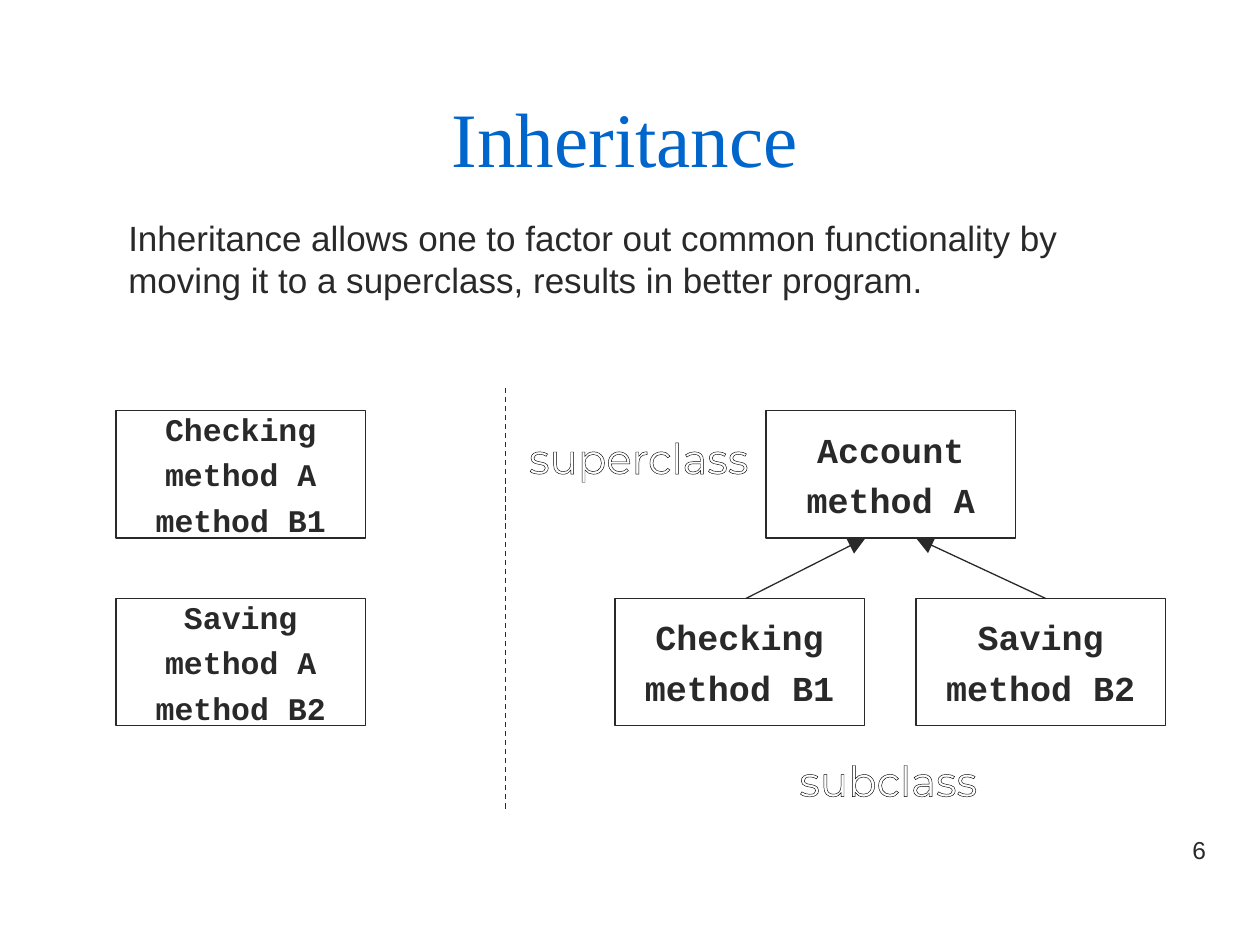
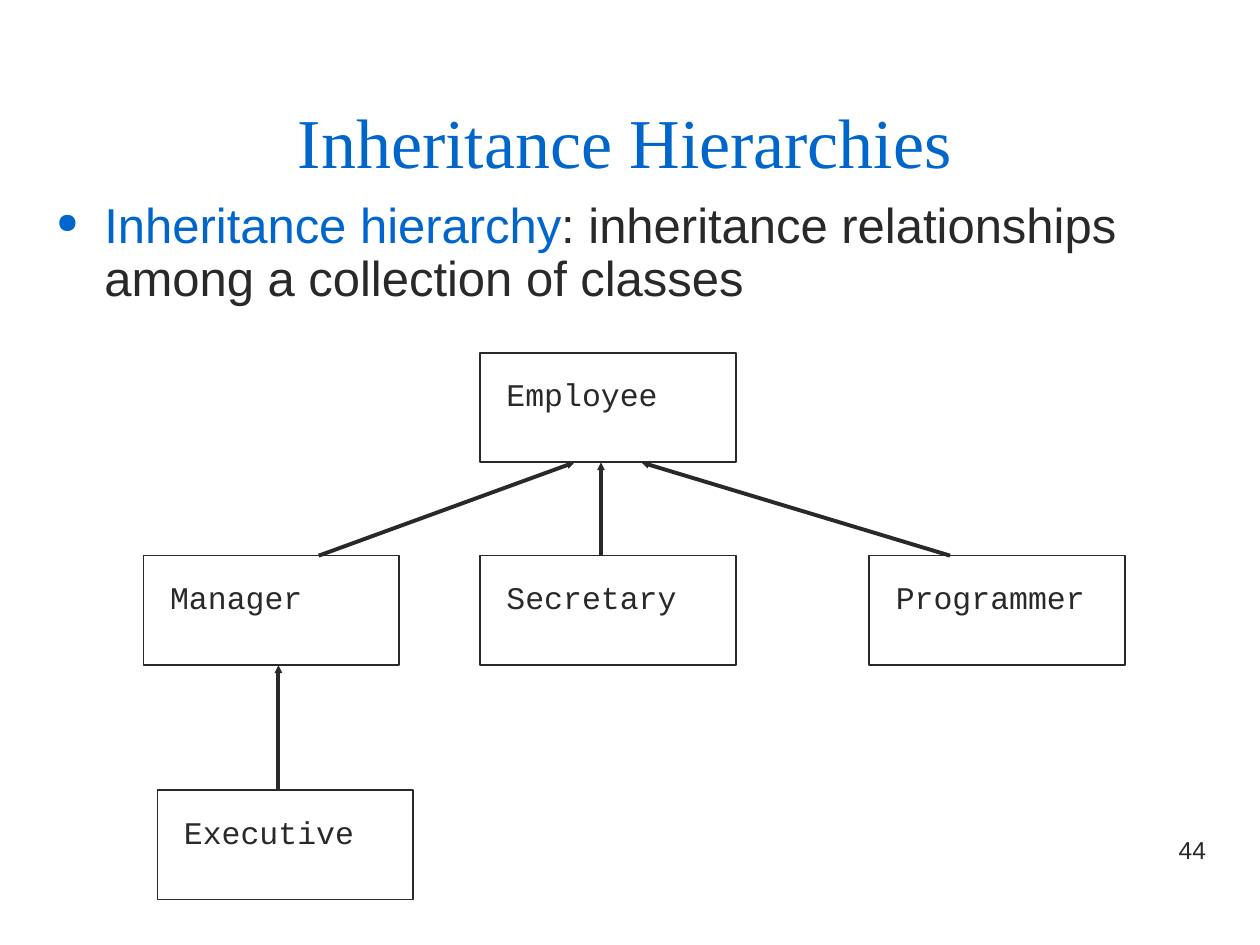
"""Builds two slides on inheritance: factoring out methods and class hierarchies."""
from dataclasses import dataclass

from lxml import etree
from pptx import Presentation
from pptx import util as u
from pptx.dml import color
from pptx.enum import dml, shapes, text
from pptx.oxml import ns


@dataclass(frozen=True)
class Theme:
    """Colours, fonts and type sizes shared by the slides."""
    accent: color.RGBColor = color.RGBColor(0x00, 0x66, 0xCC)
    ink: color.RGBColor = color.RGBColor(0x29, 0x29, 0x29)
    paper: color.RGBColor = color.RGBColor(0xFF, 0xFF, 0xFF)
    outline: color.RGBColor = color.RGBColor(0x00, 0x00, 0x00)
    title_font: str = "Times New Roman"
    body_font: str = "Arial"
    code_font: str = "Courier New"
    caption_font: str = "Montserrat"
    title: int = 44
    long_title: int = 40
    bullet: int = 28
    caption: int = 24
    body: int = 20
    code: int = 18
    number: int = 14


THEME = Theme()
CENTER, LEFT, RIGHT = text.PP_ALIGN.CENTER, text.PP_ALIGN.LEFT, text.PP_ALIGN.RIGHT
CLASS_WIDTH, CLASS_HEIGHT = 1.98, 1.01
NODE_WIDTH, NODE_HEIGHT = 2.03, 0.87


def place(left, top, width, height):
    """Convert a position and size in inches to lengths."""
    return [u.Inches(value) for value in (left, top, width, height)]


def style(paragraph, font, size, tint=THEME.ink, align=LEFT, bold=False):
    """Format all runs of a paragraph and align it."""
    paragraph.alignment = align
    for run in paragraph.runs:
        run.font.name = font
        run.font.size = u.Pt(size)
        run.font.bold = bold
        run.font.color.rgb = tint


def add_titled_slide(deck, heading, size, number):
    """Add a title-only slide with its heading and page number."""
    slide = deck.slides.add_slide(deck.slide_layouts[5])
    title = slide.shapes.title
    title.left, title.top, title.width, title.height = place(0.67, 0.25, 8.58, 1.25)
    frame = title.text_frame
    frame.text = heading
    frame.auto_size = text.MSO_AUTO_SIZE.NONE
    frame.vertical_anchor = text.MSO_ANCHOR.BOTTOM
    style(frame.paragraphs[0], THEME.title_font, size, THEME.accent, CENTER)
    add_text(slide, (7.17, 6.58, 2.5, 0.52), str(number),
             THEME.body_font, THEME.number, align=RIGHT)
    return slide


def add_text(slide, area, words, font, size, tint=THEME.ink, align=LEFT):
    """Add a one-paragraph text box and return its frame."""
    frame = slide.shapes.add_textbox(*place(*area)).text_frame
    frame.word_wrap = True
    frame.text = words
    style(frame.paragraphs[0], font, size, tint, align)
    return frame


def add_caption(slide, area, words):
    """Add white display lettering with a thin black outline."""
    caption = add_text(slide, area, words, THEME.caption_font, THEME.caption,
                       THEME.paper, CENTER)
    caption.word_wrap = False
    caption.margin_left = caption.margin_right = 0
    outline = etree.Element(ns.qn("a:ln"), w=str(u.Pt(0.75)))
    fill = etree.SubElement(outline, ns.qn("a:solidFill"))
    etree.SubElement(fill, ns.qn("a:srgbClr"), val=str(THEME.outline))
    caption.paragraphs[0].runs[0].font._element.insert(0, outline)


def add_bullet(slide, area, term, meaning):
    """Add a bulleted definition with its term in the accent colour."""
    definition = add_text(slide, area, term, THEME.body_font, THEME.bullet)
    paragraph = definition.paragraphs[0]
    properties = paragraph._p.get_or_add_pPr()
    properties.set("marL", str(u.Inches(0.38)))
    properties.set("indent", str(-u.Inches(0.38)))
    tint = etree.SubElement(properties, ns.qn("a:buClr"))
    etree.SubElement(tint, ns.qn("a:srgbClr"), val=str(THEME.accent))
    etree.SubElement(properties, ns.qn("a:buSzPct"), val="57000")
    etree.SubElement(properties, ns.qn("a:buChar"), char="●")
    paragraph.line_spacing = 0.9
    paragraph.add_run().text = meaning
    style(paragraph, THEME.body_font, THEME.bullet)
    paragraph.runs[0].font.color.rgb = THEME.accent


def add_frame(slide, area, weight):
    """Add an unfilled outlined rectangle."""
    frame = slide.shapes.add_shape(shapes.MSO_SHAPE.RECTANGLE, *place(*area))
    frame.shadow.inherit = False
    frame.fill.background()
    frame.line.color.rgb = THEME.ink
    frame.line.width = u.Pt(weight)
    return frame


def add_class(slide, left, top, members, size):
    """Add a class box listing its name and methods."""
    area = (left, top, CLASS_WIDTH, CLASS_HEIGHT)
    listing = add_frame(slide, area, 0.75).text_frame
    listing.word_wrap = False
    listing.vertical_anchor = text.MSO_ANCHOR.MIDDLE
    listing.text = "\n".join(members)
    for row, paragraph in enumerate(listing.paragraphs):
        style(paragraph, THEME.code_font, size, align=CENTER, bold=True)
        if row:
            paragraph.space_before = u.Pt(size / 4)


def add_node(slide, left, top, name):
    """Add a hierarchy box with its class name at the upper left."""
    label = add_frame(slide, (left, top, NODE_WIDTH, NODE_HEIGHT), 1).text_frame
    label.word_wrap = True
    label.vertical_anchor = text.MSO_ANCHOR.TOP
    label.margin_left, label.margin_top = u.Inches(0.21), u.Inches(0.18)
    label.text = name
    style(label.paragraphs[0], THEME.code_font, THEME.code)


def add_line(slide, start, end, weight, head=None):
    """Add a straight line, with a triangle of the given size at its end."""
    ends = [u.Inches(value) for value in (*start, *end)]
    line = slide.shapes.add_connector(shapes.MSO_CONNECTOR.STRAIGHT, *ends)
    line.line.color.rgb = THEME.ink
    line.line.width = u.Pt(weight)
    if head:
        etree.SubElement(line.line._get_or_add_ln(), ns.qn("a:tailEnd"),
                         type="triangle", w=head, len=head)
    etree.SubElement(line._element.spPr, ns.qn("a:effectLst"))
    return line


def build_inheritance(deck):
    """Compare duplicated methods with a shared superclass."""
    slide = add_titled_slide(deck, "Inheritance", THEME.title, 6)
    add_text(slide, (0.92, 1.67, 8, 0.77),
             "Inheritance allows one to factor out common functionality by "
             "moving it to a superclass, results in better program.",
             THEME.body_font, THEME.body)
    upper, lower = 3.26, 4.75
    accounts = (("Checking", "method B1", upper, 4.88, 5.92, 6.87),
                ("Saving", "method B2", lower, 7.27, 8.3, 7.27))
    add_class(slide, 6.08, upper, ("Account", "method A"), THEME.body)
    for name, method, separate_top, left, start, end in accounts:
        add_class(slide, 0.92, separate_top, (name, "method A", method), THEME.code)
        add_class(slide, left, lower, (name, method), THEME.body)
        add_line(slide, (start, lower), (end, upper + CLASS_HEIGHT), 0.75, "lg")
    divider = add_line(slide, (4.01, 3.08), (4.01, 6.42), 0.75)
    divider.line.dash_style = dml.MSO_LINE.DASH
    add_caption(slide, (4.17, 3.38, 1.8, 0.31), "superclass")
    add_caption(slide, (6.15, 5.94, 1.8, 0.31), "subclass")


def build_hierarchies(deck):
    """Show the employee classes as a tree."""
    slide = add_titled_slide(deck, "Inheritance Hierarchies", THEME.long_title, 44)
    add_bullet(slide, (0.35, 1.55, 9, 1.1), "Inheritance hierarchy",
               ": inheritance relationships among a collection of classes")
    root, staff, leaf = 2.8, 4.41, 6.27
    nodes = (("Employee", 3.81, root), ("Manager", 1.14, staff),
             ("Secretary", 3.81, staff), ("Programmer", 6.9, staff),
             ("Executive", 1.25, leaf))
    for name, left, top in nodes:
        add_node(slide, left, top, name)
    links = ((2.53, staff, 4.56, root), (4.77, staff, 4.77, root),
             (7.54, staff, 5.09, root), (2.21, leaf, 2.21, staff))
    for start, child, end, parent in links:
        add_line(slide, (start, child), (end, parent + NODE_HEIGHT), 2.25, "sm")


def main():
    """Build and save the deck."""
    deck = Presentation()
    deck.slide_width, deck.slide_height = u.Inches(10), u.Inches(7.5)
    build_inheritance(deck)
    build_hierarchies(deck)
    deck.save("out.pptx")


if __name__ == "__main__":
    main()
